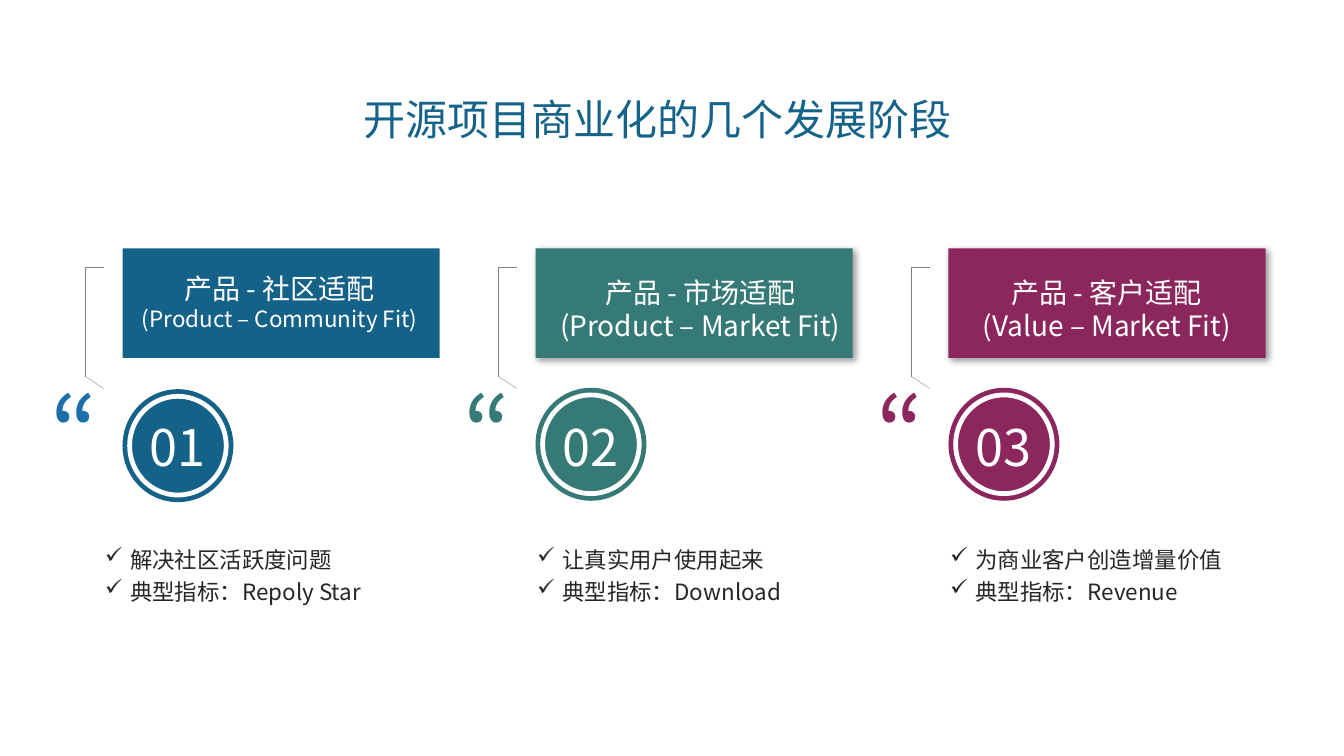
from lxml.etree import SubElement
from pptx import Presentation
from pptx.dml.color import RGBColor
from pptx.enum.shapes import MSO_CONNECTOR, MSO_SHAPE
from pptx.enum.text import MSO_ANCHOR, MSO_AUTO_SIZE, PP_ALIGN
from pptx.oxml.ns import qn
from pptx.util import Pt

THEME = {
    "title": "156389", "line": "808080", "white": "FFFFFF", "body": "262626",
    "blue": "156289", "blue_quote": "1D6FA9", "green": "357A76", "plum": "8C275D",
    "title_size": 60, "quote_size": 144, "number_size": 72,
    "heading_size": 40, "body_size": 32,
    "title_font": "Roboto", "font": "Noto Sans CJK JP",
}

STAGES = [
    {"color": "blue", "quote": "blue_quote", "ring_top": 556, "shadow": False,
     "label": (188.6, 385, 422), "english_size": "body_size", "list_left": 135.4,
     "heading": ["产品 - 社区适配", "(Product – Community Fit)"],
     "points": ["解决社区活跃度问题", "典型指标：Repoly Star"]},
    {"color": "green", "quote": "green", "ring_top": 554, "shadow": True,
     "label": (782.6, 389.5, 435.6), "english_size": "heading_size", "list_left": 753,
     "heading": ["产品 - 市场适配", "(Product – Market Fit)"],
     "points": ["让真实用户使用起来", "典型指标：Download"]},
    {"color": "plum", "quote": "plum", "ring_top": 554, "shadow": True,
     "label": (1385.3, 389.5, 391.7), "english_size": "heading_size", "list_left": 1343,
     "heading": ["产品 - 客户适配", "(Value – Market Fit)"],
     "points": ["为商业客户创造增量价值", "典型指标：Revenue"]},
]


def add_text(left, top, width, height, lines, sizes, color, font="font", bullet=None, wrap=True):
    box = page.shapes.add_textbox(Pt(left), Pt(top), Pt(width), Pt(height))
    frame = box.text_frame
    frame.text = "\n".join(lines)
    frame.word_wrap = wrap
    frame.auto_size = MSO_AUTO_SIZE.SHAPE_TO_FIT_TEXT
    for para, size in zip(frame.paragraphs, sizes):
        if bullet:
            para.line_spacing = 1.2
            properties = para._p.get_or_add_pPr()
            properties.set("marL", str(Pt(36)))
            properties.set("indent", str(Pt(-36)))
            SubElement(properties, qn("a:buChar"), char=bullet)
        else:
            para.alignment = PP_ALIGN.CENTER
        for span in para.runs:
            span.font.size = Pt(THEME[size])
            span.font.name = THEME[font]
            span.font.color.rgb = RGBColor.from_string(THEME[color])
            SubElement(span._r.get_or_add_rPr(), qn("a:ea"), typeface=THEME["font"])
    return frame


def add_shape(kind, left, top, width, height, color):
    shape = page.shapes.add_shape(kind, Pt(left), Pt(top), Pt(width), Pt(height))
    shape.shadow.inherit = False
    shape.fill.solid()
    shape.fill.fore_color.rgb = RGBColor.from_string(THEME[color])
    shape.line.fill.background()
    return shape


deck = Presentation()
deck.slide_width, deck.slide_height = Pt(1920), Pt(1080)
page = deck.slides.add_slide(deck.slide_layouts[6])

title = add_text(255.6, 127.4, 1366.6, 84.2, ["开源项目商业化的几个发展阶段"],
                 ["title_size"], "title", "title_font")
title.vertical_anchor = MSO_ANCHOR.MIDDLE
title.margin_left = title.margin_right = title.margin_top = title.margin_bottom = Pt(5.8)

COLUMN_LEFT, COLUMN_PITCH = 175, 590
RING_WIDTH, RING_HEIGHT, RING_INSET = 158.4, 161.4, 10.2
BRACKET = [((0, 381.6), (28, 381.6)), ((0, 381.6), (0, 538.6)), ((0, 537), (27, 555))]

for index, stage in enumerate(STAGES):
    left = COLUMN_LEFT + index * COLUMN_PITCH
    color = stage["color"]

    for (start_x, start_y), (end_x, end_y) in BRACKET:
        line = page.shapes.add_connector(
            MSO_CONNECTOR.STRAIGHT, Pt(left - 54 + start_x), Pt(start_y),
            Pt(left - 54 + end_x), Pt(end_y))
        line.line.color.rgb = RGBColor.from_string(THEME["line"])
        line.line.width = Pt(0.5)
        SubElement(line._element.spPr, qn("a:effectLst"))

    add_text(left - 132.5, 526.3, 128, 181.4, ["“"], ["quote_size"], stage["quote"], wrap=False)

    ring_top = stage["ring_top"]
    add_shape(MSO_SHAPE.OVAL, left, ring_top, RING_WIDTH, RING_HEIGHT, color)
    disc = add_shape(MSO_SHAPE.OVAL, left + RING_INSET, ring_top + RING_INSET,
                     RING_WIDTH - 2 * RING_INSET, RING_HEIGHT - 2 * RING_INSET, color)
    disc.line.color.rgb = RGBColor.from_string(THEME["white"])
    disc.line.width = Pt(6.8)
    add_text(left + 29.5, 590.4, 99.4, 94.3, [f"{index + 1:02d}"], ["number_size"], "white")

    card = add_shape(MSO_SHAPE.RECTANGLE, left, 355, 453, 156.2, color)
    if stage["shadow"]:
        effects = card._element.spPr.find(qn("a:effectLst"))
        shadow = SubElement(effects, qn("a:outerShdw"), blurRad=str(Pt(10)), dist=str(Pt(5)),
                            dir="2700000", algn="tl", rotWithShape="0")
        black = SubElement(shadow, qn("a:srgbClr"), val="000000")
        SubElement(black, qn("a:alpha"), val="40000")

    label_left, label_top, label_width = stage["label"]
    add_text(label_left, label_top, label_width, 104.4, stage["heading"],
             ["heading_size", stage["english_size"]], "white")

    points = add_text(stage["list_left"], 764.6, 465, 107.3, stage["points"],
                      ["body_size", "body_size"], "body", bullet="✓")
    points.margin_left = points.margin_right = Pt(14.4)
    points.margin_top = points.margin_bottom = Pt(7.2)

deck.save("out.pptx")
